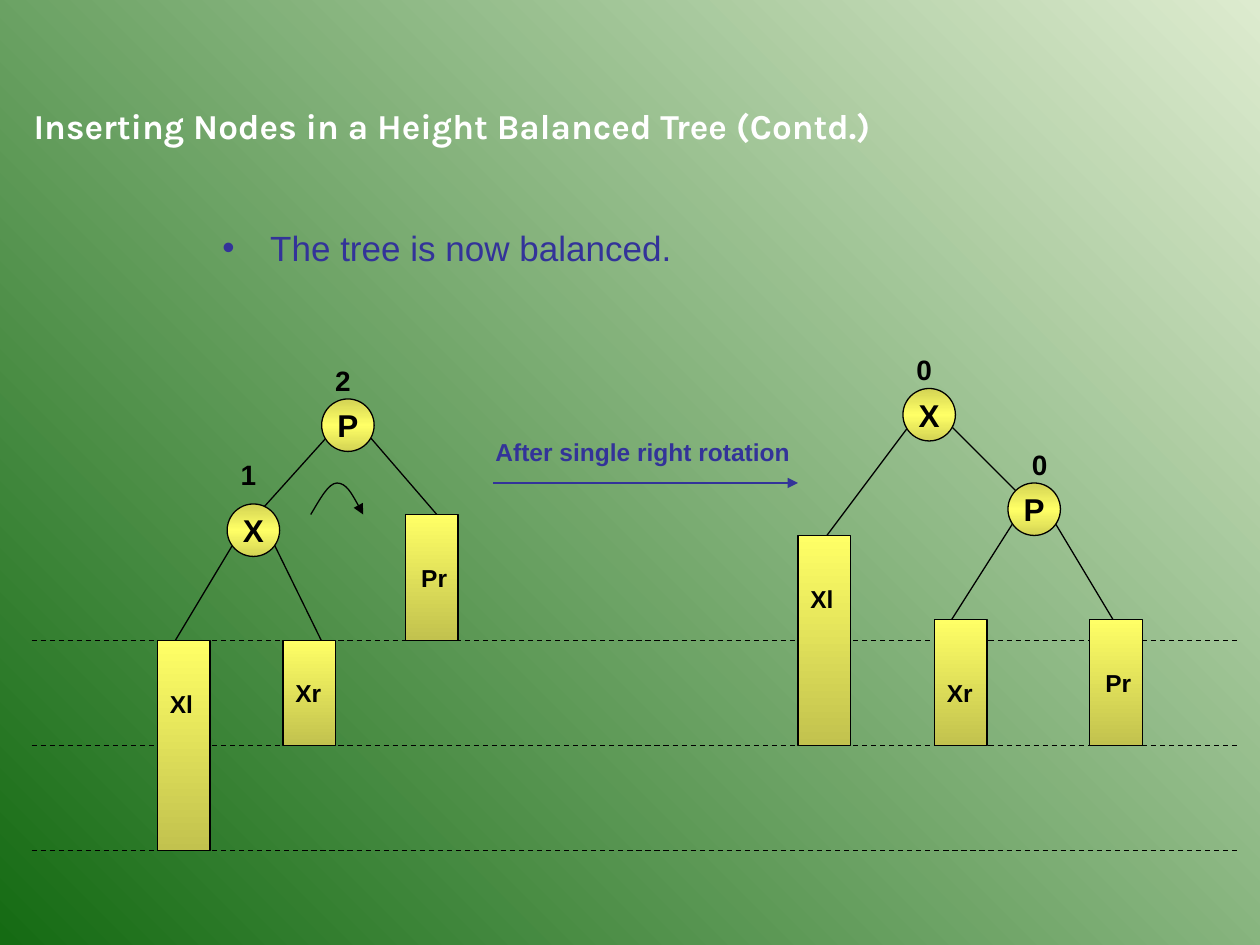
from copy import deepcopy
from typing import NamedTuple

from lxml import etree
from pptx import Presentation
from pptx.dml.color import RGBColor
from pptx.enum.dml import MSO_LINE
from pptx.enum.shapes import MSO_CONNECTOR, MSO_SHAPE
from pptx.enum.text import MSO_ANCHOR, MSO_AUTO_SIZE, PP_ALIGN
from pptx.oxml.ns import qn
from pptx.util import Inches, Pt

BLACK = RGBColor(0x00, 0x00, 0x00)
WHITE = RGBColor(0xFF, 0xFF, 0xFF)
NAVY = RGBColor(0x33, 0x33, 0x99)
YELLOW = RGBColor(0xFF, 0xFF, 0x66)
GOLD = RGBColor(0xD3, 0xD3, 0x54)
OLIVE = RGBColor(0xC2, 0xC2, 0x4E)
PALE = RGBColor(0xDD, 0xEB, 0xCF)
GREEN = RGBColor(0x15, 0x6B, 0x13)

LEFT, CENTER = PP_ALIGN.LEFT, PP_ALIGN.CENTER
TOP, MIDDLE = MSO_ANCHOR.TOP, MSO_ANCHOR.MIDDLE
NONE, GROW = MSO_AUTO_SIZE.NONE, MSO_AUTO_SIZE.SHAPE_TO_FIT_TEXT
OVAL, RECT = MSO_SHAPE.OVAL, MSO_SHAPE.RECTANGLE
STRAIGHT, DASH = MSO_CONNECTOR.STRAIGHT, MSO_LINE.DASH

CELL = 1 / 12  # the grid has 120 columns and 90 rows
SIZE = 5  # node diameter and bar width, in cells


class Node(NamedTuple):
    name: str
    col: float
    row: float
    factor: str
    shift: float = 0.1
    rise: float = 4


class Bar(NamedTuple):
    name: str
    col: float
    row: float
    rows: float
    shift: float = 0
    drop: float = 4


class Edge(NamedTuple):
    col: float
    row: float
    to_col: float
    to_row: float


NODES = [
    Node("P", 30.64, 38, "2"),
    Node("X", 21.64, 48, "1", rise=5),
    Node("X", 86, 37, "0"),
    Node("P", 96, 46, "0", shift=1.1),
]
BARS = [
    Bar("Xl", 15, 61, 20),
    Bar("Xr", 26.95, 61, 10, drop=3),
    Bar("Pr", 38.64, 49, 12, shift=0.3),
    Bar("Xl", 76, 51, 20),
    Bar("Xr", 89, 59, 12, drop=5),
    Bar("Pr", 103.8, 59, 12, shift=0.3),
]
EDGES = [
    Edge(34.7, 41, 41.6, 49),
    Edge(32.6, 40, 23.6, 50),
    Edge(22.7, 51, 16.7, 61),
    Edge(25.7, 51, 30.6, 61),
    Edge(87, 40, 78, 52),
    Edge(90, 40, 99, 49),
    Edge(97, 49, 90, 60),
    Edge(100, 49, 106, 59),
]
LEVELS = [61, 71, 81]
# End points and control points of the two Bezier arcs
CURVE = [(34.6, 49), (33.8, 47.5), (33, 46), (32.1, 46),
         (31.3, 46), (30.5, 47.5), (29.6, 49)]


def grid(*cells: float) -> list:
    return [Inches(cell * CELL) for cell in cells]


def write(shape, text: str, size: float, color=BLACK, bold=True, font="Arial",
          align=LEFT, anchor=TOP, wrap=False, fit=GROW, bullet=""):
    frame = shape.text_frame
    frame.word_wrap, frame.auto_size = wrap, fit
    frame.vertical_anchor = anchor
    para = frame.paragraphs[0]
    para.alignment = align
    if bullet:
        props = para._p.get_or_add_pPr()
        indent = Inches(0.38)
        props.set("marL", str(indent))
        props.set("indent", str(-indent))
        etree.SubElement(props, qn("a:buFont")).set("typeface", font)
        etree.SubElement(props, qn("a:buChar")).set("char", bullet)
    run = para.add_run()
    run.text = text
    run.font.name, run.font.size, run.font.bold = font, Pt(size), bold
    run.font.color.rgb = color


def label(slide, text: str, col: float, row: float, cols: float, rows: float,
          size: float, **style):
    box = slide.shapes.add_textbox(*grid(col, row, cols, rows))
    write(box, text, size, **style)


def shade(fill, angle: float, colors: list):
    for i, (stop, color) in enumerate(zip(fill.gradient_stops, colors)):
        stop.position = i / (len(colors) - 1)
        stop.color.rgb = color
    fill.gradient_angle = angle


def outline(shape, color=BLACK):
    shape.line.color.rgb = color
    shape.line.width = Pt(0.75)


def arrow(shape, end: str):
    line = shape.line._get_or_add_ln()
    etree.SubElement(line, qn(f"a:{end}")).set("type", "triangle")


def link(slide, edge: Edge, color=BLACK, dash=None):
    line = slide.shapes.add_connector(STRAIGHT, *grid(*edge))
    outline(line, color)
    if dash:
        line.line.dash_style = dash
    etree.SubElement(line._element.spPr, qn("a:effectLst"))
    return line


def block(slide, kind, col: float, row: float, rows: float, colors: list):
    shape = slide.shapes.add_shape(kind, *grid(col, row, SIZE, rows))
    shape.shadow.inherit = False
    shape.fill.gradient()
    stops = shape._element.spPr.find(".//" + qn("a:gsLst"))
    while len(stops) < len(colors):
        stops.append(deepcopy(stops[-1]))
    shade(shape.fill, 270, colors)
    outline(shape)
    return shape


def draw_node(slide, node: Node):
    shape = block(slide, OVAL, node.col, node.row, SIZE, [GOLD, YELLOW, GOLD])
    write(shape, node.name, 18, align=CENTER, anchor=MIDDLE, fit=NONE)
    label(slide, node.factor, node.col + node.shift, node.row - node.rise,
          3.85, 4.4, 16)


def draw_bar(slide, bar: Bar):
    block(slide, RECT, bar.col, bar.row, bar.rows, [YELLOW, OLIVE])
    label(slide, bar.name, bar.col + bar.shift, bar.row + bar.drop, SIZE, 4.1, 14)


def draw_turn(slide):
    """Draw the curved arrow, joining each three points into one Bezier arc."""
    points = [tuple(grid(*point)) for point in CURVE]
    pen = slide.shapes.build_freeform(*points[0])
    pen.add_line_segments(points[1:], close=False)
    shape = pen.convert_to_shape()
    steps = list(shape._element.iter(qn("a:lnTo")))
    track = steps[0].getparent()
    for i in range(0, len(steps), 3):
        arc = etree.SubElement(track, qn("a:cubicBezTo"))
        for step in steps[i:i + 3]:
            arc.append(step[0])
            track.remove(step)
    shape.shadow.inherit = False
    shape.fill.background()
    outline(shape)
    arrow(shape, "headEnd")


def main():
    deck = Presentation()
    deck.slide_width, deck.slide_height = grid(120, 90)
    slide = deck.slides.add_slide(deck.slide_layouts[5])
    back = slide.background.fill
    back.gradient()
    shade(back, 225, [PALE, GREEN])

    title = slide.shapes.title
    title.left, title.top, title.width, title.height = grid(2, 9.33, 118, 5.3)
    write(title, "Inserting Nodes in a Height Balanced Tree (Contd.)", 20,
          color=WHITE, font="Karla", wrap=True)
    label(slide, "The tree is now balanced.", 20, 21, 96, 60, 20, color=NAVY,
          bold=False, wrap=True, fit=NONE, bullet="•")

    for row in LEVELS:
        link(slide, Edge(3, row, 118, row), dash=DASH)
    for edge in EDGES:
        link(slide, edge)
    for node in NODES:
        draw_node(slide, node)
    for bar in BARS:
        draw_bar(slide, bar)
    draw_turn(slide)

    arrow(link(slide, Edge(47, 46, 76, 46), color=NAVY), "tailEnd")
    label(slide, "After single right rotation", 46, 41, 32, 4.1, 14,
          color=NAVY, wrap=True)
    deck.save("out.pptx")


if __name__ == "__main__":
    main()
